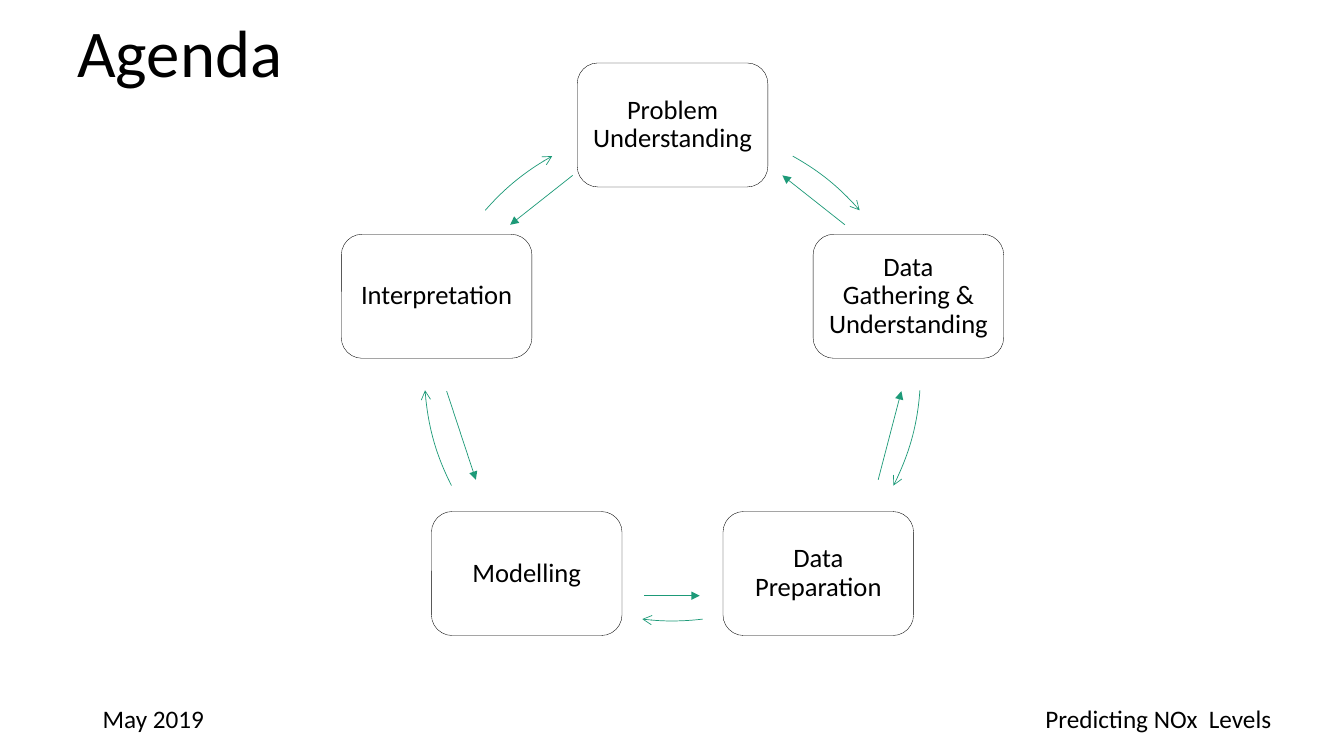
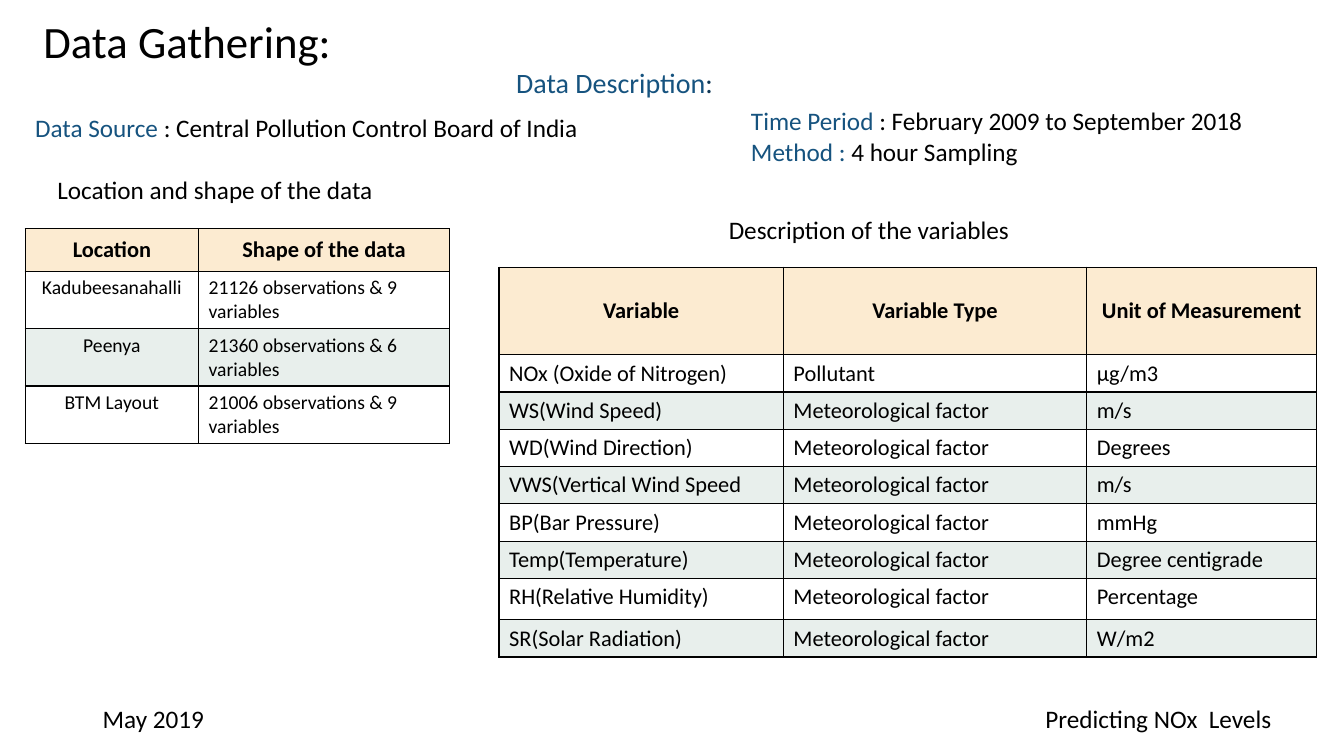
from lxml import etree
import math
from pptx import Presentation
from pptx import util as u
from pptx.dml.color import RGBColor
from pptx.enum import shapes, text
from pptx.oxml.ns import qn

BLACK = RGBColor(0x00, 0x00, 0x00)
WHITE = RGBColor(0xFF, 0xFF, 0xFF)
GREEN = RGBColor(0x1D, 0x9A, 0x78)
BLUE = RGBColor(0x16, 0x53, 0x7F)
NAVY = RGBColor(0x0F, 0x37, 0x54)
CREAM = RGBColor(0xFC, 0xEB, 0xD1)
MINT = RGBColor(0xE8, 0xEF, 0xEC)

LEFT, CENTER = text.PP_ALIGN.LEFT, text.PP_ALIGN.CENTER
TOP, MIDDLE = text.MSO_ANCHOR.TOP, text.MSO_ANCHOR.MIDDLE


def set_all(target, values):
    for name, value in values.items():
        setattr(target, name, value)


class SlideBuilder:
    """Holds the deck, the shared style and the slide being filled."""

    FONT = "Calibri"
    TIGHT = {"line_spacing": 0.9}
    FOOTERS = (("May 2019", 0.92, 3), ("Predicting NOx  Levels", 10.27, 2.83))

    def __init__(self):
        self.deck = Presentation()
        self.deck.slide_width = u.Inches(13.33)
        self.deck.slide_height = u.Inches(7.5)
        self.page = None

    def add_page(self, title, place, size, align):
        self.page = self.deck.slides.add_slide(self.deck.slide_layouts[5])
        box = self.page.shapes.title
        left, top, width, height = map(u.Inches, place)
        set_all(box, {"left": left, "top": top, "width": width, "height": height})
        set_all(box.text_frame, {"vertical_anchor": MIDDLE, "word_wrap": True,
                                 "auto_size": text.MSO_AUTO_SIZE.NONE})
        self.add_spans(box.text_frame.paragraphs[0], [(title, BLACK)], size, align, **self.TIGHT)
        for words, x, w in self.FOOTERS:
            self.label([[(words, BLACK)]], x, 6.93, w)

    def add_spans(self, para, spans, size, align=LEFT, bold=False, **layout):
        """Fill a paragraph with (words, colour) spans."""
        set_all(para, {"alignment": align, **layout})
        for words, color in spans:
            span = para.add_run()
            span.text = words
            set_all(span.font, {"name": self.FONT, "size": u.Pt(size), "bold": bold})
            span.font.color.rgb = color

    def label(self, lines, x, y, width, size=18):
        box = self.page.shapes.add_textbox(*map(u.Inches, (x, y, width, 0.4 * len(lines))))
        frame = box.text_frame
        frame.word_wrap = True
        for number, spans in enumerate(lines):
            para = frame.add_paragraph() if number else frame.paragraphs[0]
            self.add_spans(para, spans, size)

    def step(self, words, x, y, width=1.89, height=1.23):
        """Draw a rounded box centred on x, y."""
        box = self.page.shapes.add_shape(
            shapes.MSO_SHAPE.ROUNDED_RECTANGLE,
            *map(u.Inches, (x - width / 2, y - height / 2, width, height)))
        box.shadow.inherit = False
        box.fill.background()
        self.outline(box, BLACK, 0.25)
        frame = box.text_frame
        margins = dict.fromkeys(
            ("margin_left", "margin_right", "margin_top", "margin_bottom"), u.Inches(0.08))
        set_all(frame, {"word_wrap": True, "vertical_anchor": MIDDLE, **margins})
        self.add_spans(frame.paragraphs[0], [(words, BLACK)], 19, CENTER, **self.TIGHT)

    def outline(self, shape, color, width, head=None):
        shape.line.color.rgb = color
        shape.line.width = u.Pt(width)
        if head:
            line = shape.element.spPr.find(qn("a:ln"))
            etree.SubElement(line, qn("a:tailEnd"), type=head)

    def arc_arrow(self, x, y, radius, start, end):
        """Draw a clockwise arc; angles are degrees from the top of the circle."""
        arc = self.page.shapes.add_shape(
            shapes.MSO_SHAPE.ARC,
            *map(u.Inches, (x - radius, y - radius, 2 * radius, 2 * radius)))
        for index, angle in enumerate((start, end)):
            arc.adjustments[index] = (angle - 90) % 360 * 0.6
        arc.shadow.inherit = False
        arc.fill.background()
        self.outline(arc, GREEN, 0.5, "arrow")

    def arrow(self, *ends):
        line = self.page.shapes.add_connector(
            shapes.MSO_CONNECTOR.STRAIGHT, *map(u.Inches, ends))
        self.outline(line, GREEN, 0.5, "triangle")
        etree.SubElement(line.element.spPr, qn("a:effectLst"))

    def table(self, x, y, widths, heights, rows, size, aligns):
        grid = self.page.shapes.add_table(
            len(rows), len(widths),
            *map(u.Inches, (x, y, sum(widths), sum(heights)))).table
        for column, width in zip(grid.columns, widths):
            column.width = u.Inches(width)
        for r, (values, height) in enumerate(zip(rows, heights)):
            grid.rows[r].height = u.Inches(height)
            header = r == 0
            fill = CREAM if header else (MINT, WHITE)[r % 2]
            for c, value in enumerate(values):
                cell = grid.cell(r, c)
                cell.fill.solid()
                cell.fill.fore_color.rgb = fill
                cell.vertical_anchor = MIDDLE if header else TOP
                self.add_spans(cell.text_frame.paragraphs[0], [(value, BLACK)],
                               16 if header else size, CENTER if header else aligns[c], header)
                self.borders(cell)

    def borders(self, cell):
        props = cell._tc.get_or_add_tcPr()
        for index, side in enumerate(("lnL", "lnR", "lnT", "lnB")):
            line = etree.Element(qn(f"a:{side}"), w=str(u.Pt(1)))
            fill = etree.SubElement(line, qn("a:solidFill"))
            etree.SubElement(fill, qn("a:srgbClr"), val=str(BLACK))
            props.insert(index, line)


def agenda(builder):
    builder.add_page("Agenda", (0.15, 0.24, 3.27, 0.62), 47.7, CENTER)
    x, y, radius = 6.67, 3.7, 2.46
    steps = ("Problem Understanding", "Data Gathering & Understanding",
             "Data Preparation", "Modelling", "Interpretation")
    arcs = ((29, 49), (94, 117), (173, 187), (243, 266), (311, 331))
    for number, (words, arc) in enumerate(zip(steps, arcs)):
        angle = math.tau * number / len(steps)
        builder.step(words, x + radius * math.sin(angle), y - radius * math.cos(angle))
        builder.arc_arrow(x, y, radius, *arc)
    for ends in ((6.39, 5.91, 6.94, 5.91), (8.71, 4.76, 8.94, 3.88),
                 (4.43, 3.88, 4.72, 4.76), (5.68, 1.74, 5.06, 2.23),
                 (8.38, 2.23, 7.76, 1.74)):
        builder.arrow(*ends)


def data_gathering(builder):
    builder.add_page("Data Gathering:", (0.33, 0.13, 8.64, 0.62), 32, LEFT)
    builder.label([[("Data Description", BLUE), (":", NAVY)]], 5.02, 0.6, 2.98, 20)
    builder.label([[("Data Source ", BLUE),
                    (": Central Pollution Control Board of India", BLACK)]], 0.25, 1.07, 5.88)
    builder.label([[("Time Period ", BLUE), (": February 2009 to September 2018", BLACK)],
                   [("Method : ", BLUE), ("4 hour Sampling", BLACK)]], 7.35, 1, 5.32)
    builder.label([[("Location and shape of the data", BLACK)]], 0.47, 1.68, 3.67)
    builder.label([[("Description of the variables", BLACK)]], 7.13, 2.08, 3.67)

    locations = [("Location", "Shape of the data"),
                 ("Kadubeesanahalli", "21126 observations & 9 variables"),
                 ("Peenya", "21360 observations & 6 variables"),
                 ("BTM Layout", "21006 observations & 9 variables")]
    builder.table(0.25, 2.27, (1.72, 2.49), [0.42] + [0.57] * 3, locations, 14, (CENTER, LEFT))

    weather = "Meteorological factor"
    variables = [("Variable", "Variable Type", "Unit of Measurement"),
                 ("NOx (Oxide of Nitrogen)", "Pollutant", "µg/m3"),
                 ("WS(Wind Speed)", weather, "m/s"),
                 ("WD(Wind Direction)", weather, "Degrees"),
                 ("VWS(Vertical Wind Speed", weather, "m/s"),
                 ("BP(Bar Pressure)", weather, "mmHg"),
                 ("Temp(Temperature)", weather, "Degree centigrade"),
                 ("RH(Relative Humidity)", weather, "Percentage"),
                 ("SR(Solar Radiation)", weather, "W/m2")]
    builder.table(4.95, 2.65, (2.82, 3.01, 2.28), [0.87] + [0.37] * 6 + [0.41, 0.37],
                  variables, 16, (LEFT,) * 3)


def main():
    builder = SlideBuilder()
    agenda(builder)
    data_gathering(builder)
    builder.deck.save("out.pptx")


if __name__ == "__main__":
    main()
